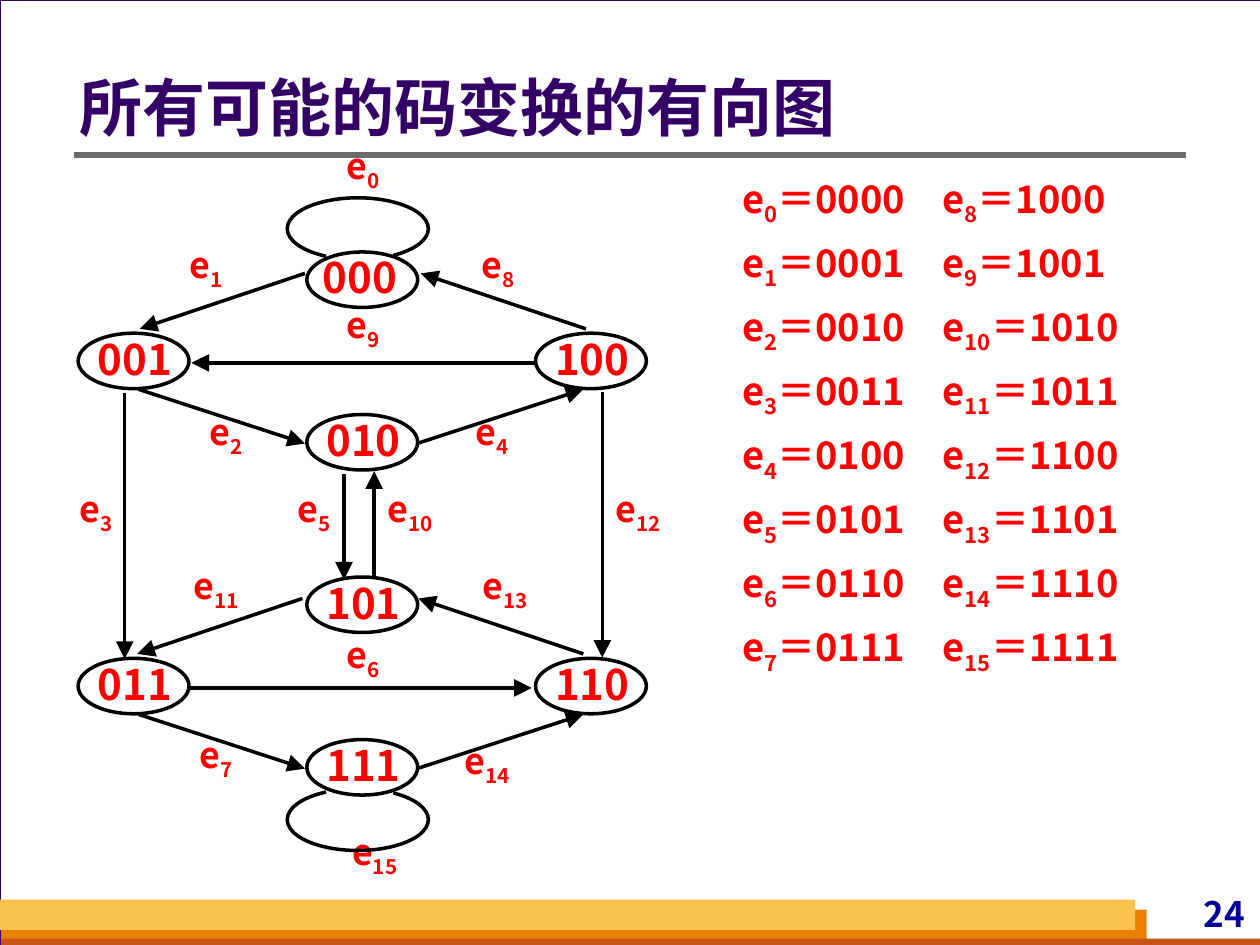
from pptx import Presentation
from pptx.dml.color import RGBColor
from pptx.enum.shapes import MSO_CONNECTOR, MSO_SHAPE
from pptx.enum.text import MSO_ANCHOR, MSO_AUTO_SIZE, PP_ALIGN
from pptx.oxml.ns import qn
from pptx.util import Inches, Pt

STRAIGHT = MSO_CONNECTOR.STRAIGHT
RECT, OVAL, ARC = MSO_SHAPE.RECTANGLE, MSO_SHAPE.OVAL, MSO_SHAPE.ARC
LEFT, CENTER, RIGHT, JUSTIFY = PP_ALIGN.LEFT, PP_ALIGN.CENTER, PP_ALIGN.RIGHT, PP_ALIGN.JUSTIFY
TOP, MIDDLE = MSO_ANCHOR.TOP, MSO_ANCHOR.MIDDLE

FONT = "Noto Sans CJK SC"
BLACK, RED, PURPLE, NAVY = "000000", "FF0000", "330066", "000099"

# Grid of the graph: left edge of column 0, top of row 0, pitches, node size
GRID_X, GRID_Y, COL, ROW = 0.62, 2.0, 1.815, 0.645
NODE_W, NODE_H = 0.88, 0.44
HALF = 4 * ROW  # the lower half of the graph repeats the upper one

NODES = {"000": (1, 0), "001": (0, 1), "100": (2, 1), "010": (1, 2),
         "101": (1, 4), "011": (0, 5), "110": (2, 5), "111": (1, 6)}

# Slanted edges of the upper half: x1, y1, x2, y2, and the shift of x below
SLANTED = [(2.42, 2.17, 1.11, 2.61, -0.02), (4.65, 2.61, 3.34, 2.17, -0.02),
           (1.1, 3.09, 2.42, 3.52, 0), (3.31, 3.52, 4.63, 3.09, 0)]
STRAIGHT_EDGES = [(4.24, 2.88, 1.52, 2.88), (1.5, 5.46, 4.22, 5.46),
                  (2.73, 3.76, 2.73, 4.6), (2.97, 4.58, 2.97, 3.74),
                  (0.99, 3.12, 0.99, 5.23), (4.78, 3.11, 4.78, 5.22)]

# Left, top and width of the label of each edge, e0 to e15
LABELS = [(2.71, 1.15, 0.35), (1.46, 1.93, 0.35), (1.62, 3.26, 0.35),
          (0.59, 3.87, 0.35), (3.73, 3.26, 0.35), (2.32, 3.87, 0.35),
          (2.71, 5.03, 0.35), (1.54, 5.82, 0.35), (3.78, 1.93, 0.35),
          (2.71, 2.41, 0.35), (3.01, 3.87, 0.49), (1.46, 4.48, 0.51),
          (4.81, 3.87, 0.51), (3.73, 4.48, 0.56), (3.61, 5.87, 0.52),
          (2.71, 6.59, 0.53)]


def rgb(color):
    return RGBColor.from_string(color)


def box(*lengths):
    return [Inches(v) for v in lengths]


def add_run(p, text, size, color, subscript=False):
    r = p.add_run()
    r.text = text
    f = r.font
    f.size, f.bold, f.name = Pt(size), True, FONT
    f.color.rgb = rgb(color)
    rPr = r._r.get_or_add_rPr()
    ea = rPr.makeelement(qn("a:ea"), {"typeface": FONT})
    rPr.find(qn("a:latin")).addnext(ea)
    if subscript:
        rPr.set("baseline", "-25000")


def add_edge_name(p, n, size):
    add_run(p, "e", size, RED)
    add_run(p, str(n), size, RED, subscript=True)


def format_frame(tf, anchor=TOP, side=0.0, wrap=True):
    tf.word_wrap = wrap
    tf.auto_size = MSO_AUTO_SIZE.NONE
    tf.vertical_anchor = anchor
    tf.margin_left = tf.margin_right = Inches(side)
    tf.margin_top = tf.margin_bottom = 0


def add_label(s, at, align=CENTER, side=0.0):
    """Add a one-line text box and return its empty paragraph."""
    tf = s.shapes.add_textbox(*box(*at)).text_frame
    format_frame(tf, side=side, wrap=False)
    p = tf.paragraphs[0]
    p.alignment = align
    return p


def place(sp, *at):
    sp.left, sp.top, sp.width, sp.height = box(*at)


def add_figure(s, kind, at, fill=None, line=None, width=2):
    sp = s.shapes.add_shape(kind, *box(*at))
    sp.shadow.inherit = False
    if fill:
        sp.fill.solid()
        sp.fill.fore_color.rgb = rgb(fill)
    else:
        sp.fill.background()
    if line:
        sp.line.color.rgb = rgb(line)
        sp.line.width = Pt(width)
    else:
        sp.line.fill.background()
    return sp


def add_line(s, x1, y1, x2, y2, color=BLACK, width=2, arrow=True):
    c = s.shapes.add_connector(STRAIGHT, *box(x1, y1, x2, y2))
    c.line.color.rgb = rgb(color)
    c.line.width = Pt(width)
    if arrow:
        ln = c.line._get_or_add_ln()
        ln.append(ln.makeelement(
            qn("a:tailEnd"), {"type": "triangle", "w": "lg", "len": "lg"}))
    spPr = c._element.spPr
    spPr.append(spPr.makeelement(qn("a:effectLst"), {}))


def add_backdrop(s):
    """Page, footer bars and title rule; the filled parts go behind the placeholders."""
    s.background.fill.solid()
    s.background.fill.fore_color.rgb = rgb("D8DADA")
    parts = [((0, 0, 10.01, 7.5), "FFFFFF", PURPLE),
             ((0.01, 7.22, 9.09, 0.28), "E88000", None),
             ((0.01, 7.45, 10, 0.08), "C95616", None),
             ((0, 7.14, 9.01, 0.24), "FCC24F", None)]
    for i, (at, fill, line) in enumerate(parts):
        sp = add_figure(s, RECT, at, fill, line, 0.75)
        sp._element.getparent().insert(2 + i, sp._element)
    add_line(s, 0.59, 1.23, 9.41, 1.23, "6B6B6B", 3, arrow=False)


def fill_title(s, text):
    sp = s.shapes.title
    place(sp, 0.59, 0.38, 8.82, 1.01)
    format_frame(sp.text_frame, MIDDLE, 0.04)
    p = sp.text_frame.paragraphs[0]
    p.alignment, p.line_spacing = LEFT, 0.9
    add_run(p, text, 36, PURPLE)


def fill_code_list(s):
    """Each row names edge n and edge n + 8 with their four-bit codes."""
    size = 21.7
    sp = s.placeholders[1]
    place(sp, 5.79, 1.34, 3.94, 5.24)
    tf = sp.text_frame
    format_frame(tf, side=0.1)
    tf.margin_top = tf.margin_bottom = Inches(0.05)
    for n in range(8):
        p = tf.add_paragraph() if n else tf.paragraphs[0]
        pPr = p._p.get_or_add_pPr()
        pPr.set("marL", "0")
        pPr.set("indent", "0")
        pPr.append(pPr.makeelement(qn("a:buNone"), {}))
        p.alignment, p.line_spacing = JUSTIFY, 1.0
        p.space_before = Pt(7 if n else 0)
        add_edge_name(p, n, size)
        add_run(p, f"＝{n:04b}　e", size, RED)
        add_run(p, str(n + 8), size, RED, subscript=True)
        add_run(p, f"＝{n + 8:04b}", size, RED)


def add_node(s, code, col, row):
    x, y = GRID_X + col * COL, GRID_Y + row * ROW
    add_figure(s, OVAL, (x, y, NODE_W, NODE_H), line=BLACK)
    inset = 0.11 if code == "000" else 0.14
    add_run(add_label(s, (x + inset, y, 0.62, 0.4)), code, 24, RED)


def add_self_loop(s, top, start, end):
    """Open ellipse drawn clockwise between two angles in degrees."""
    sp = add_figure(s, ARC, (2.28, top, 1.12, 0.49), line=BLACK)
    for i, angle in enumerate((start, end)):
        sp.adjustments[i] = angle * 0.6


def add_edge_label(s, n, x, y, width):
    p = add_label(s, (x, y, width, 0.4))
    p.line_spacing = 0.9
    add_edge_name(p, n, 20.4)


def main():
    prs = Presentation()
    prs.slide_width, prs.slide_height = Inches(10), Inches(7.5)
    s = prs.slides.add_slide(prs.slide_layouts[1])
    add_backdrop(s)
    add_run(add_label(s, (8.7, 7.08, 1.22, 0.33), RIGHT, 0.04), "24", 20, NAVY)
    fill_title(s, "所有可能的码变换的有向图")
    fill_code_list(s)
    for code, (col, row) in NODES.items():
        add_node(s, code, col, row)
    for x1, y1, x2, y2, shift in SLANTED:
        add_line(s, x1, y1, x2, y2)
        add_line(s, x1 + shift, y1 + HALF, x2 + shift, y2 + HALF)
    for edge in STRAIGHT_EDGES:
        add_line(s, *edge)
    for n, at in enumerate(LABELS):
        add_edge_label(s, n, *at)
    add_self_loop(s, 1.57, 139, 37)
    add_self_loop(s, 6.26, 323, 221)
    prs.save("out.pptx")


if __name__ == "__main__":
    main()
